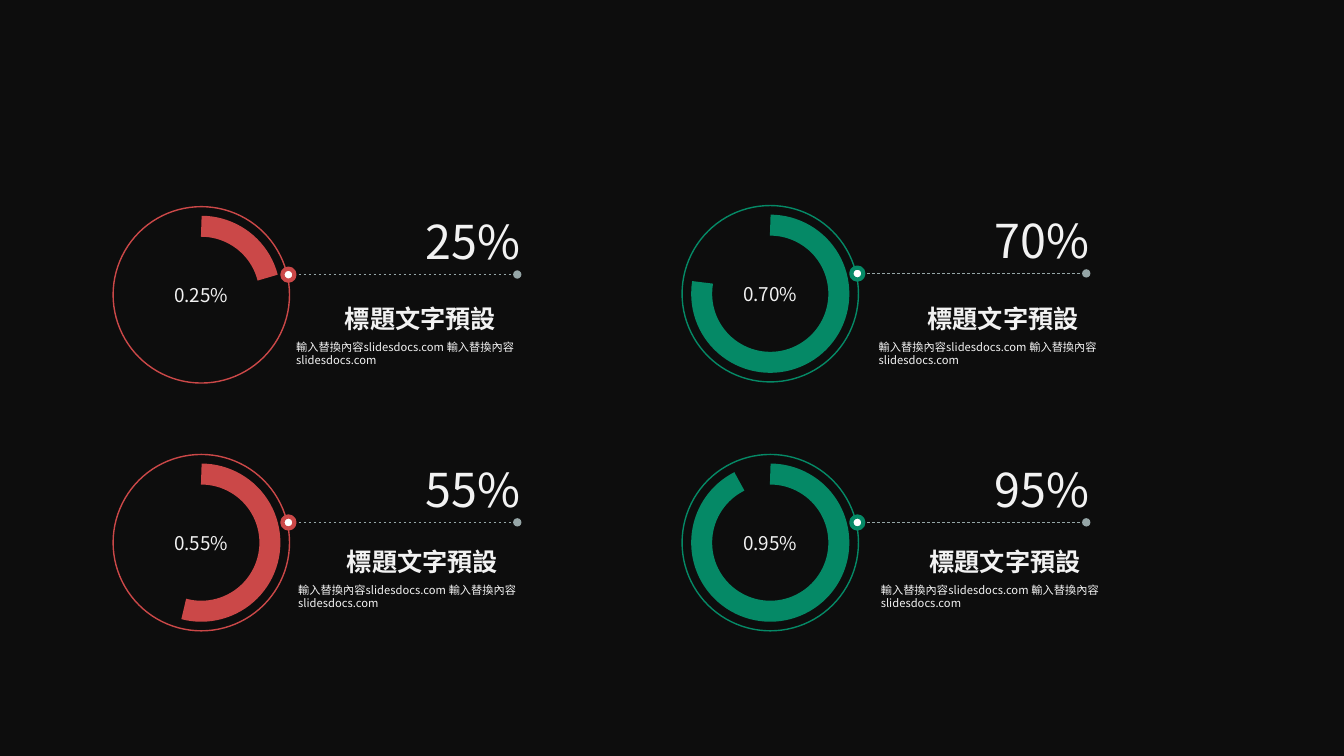
from pptx import Presentation
from pptx.dml.color import RGBColor
from pptx.enum import dml, shapes, text
from pptx.oxml import ns
from pptx.util import Pt
from lxml import etree

BLACK = RGBColor(0x0D, 0x0D, 0x0D)
WHITE = RGBColor(0xFF, 0xFF, 0xFF)
PALE = RGBColor(0xF2, 0xF2, 0xF2)
GREY = RGBColor(0x95, 0xA5, 0xA6)
RED = RGBColor(0xCB, 0x48, 0x48)
GREEN = RGBColor(0x05, 0x89, 0x66)
FONT = "Noto Sans CJK SC"
RING_SIZE = 126
ARC_SIZE = 98
DOT_SIZE = 8.6

# ring left, ring top, colour, share, arc end in degrees, caption left, caption top
GAUGES = [
    (80.8, 147.6, RED, 25, 345.48, 204.5, 213.1),
    (487.2, 146.8, GREEN, 70, 189.54, 620.6, 213.1),
    (80.8, 324.6, RED, 55, 104.83, 205.9, 386.6),
    (487.2, 324.6, GREEN, 95, 243.25, 622.1, 386.6),
]


def write(para, words, size, align, bold=False):
    para.alignment = align
    span = para.add_run()
    span.text = words
    span.font.size = Pt(size)
    span.font.bold = bold
    span.font.name = FONT
    span.font.color.rgb = PALE
    # East Asian glyphs take their typeface from a:ea
    etree.SubElement(span.font._element, ns.qn("a:ea"), typeface=FONT)


def add_outline(page, kind, left, top, size, color, weight):
    """Add a square-boxed shape with a coloured line and no fill."""
    shape = page.shapes.add_shape(kind, Pt(left), Pt(top), Pt(size), Pt(size))
    shape.shadow.inherit = False
    shape.fill.background()
    shape.line.color.rgb = color
    shape.line.width = Pt(weight)
    return shape


def add_text(page, left, top, width, height, words, size, bold=False):
    box = page.shapes.add_textbox(Pt(left), Pt(top), Pt(width), Pt(height))
    box.text_frame.word_wrap = True
    write(box.text_frame.paragraphs[0], words, size, text.PP_ALIGN.LEFT, bold)


def add_leader(page, left, right, y):
    """Add the dashed line that ends in a round head."""
    leader = page.shapes.add_connector(
        shapes.MSO_CONNECTOR.STRAIGHT, Pt(left), Pt(y), Pt(right), Pt(y))
    leader.line.color.rgb = GREY
    leader.line.width = Pt(0.5)
    leader.line.dash_style = dml.MSO_LINE.DASH
    etree.SubElement(leader.line._get_or_add_ln(), ns.qn("a:tailEnd"), type="oval")
    etree.SubElement(leader._element.spPr, ns.qn("a:effectLst"))


def add_percent(page, right, top, share):
    width = 76
    box = page.shapes.add_textbox(Pt(right - width), Pt(top), Pt(width), Pt(38))
    frame = box.text_frame
    frame.word_wrap = True
    frame.margin_left = frame.margin_right = frame.margin_top = frame.margin_bottom = 0
    write(frame.paragraphs[0], f"{share}%", 33.3, text.PP_ALIGN.RIGHT)


def add_gauge(page, left, top, color, share, end_angle):
    add_leader(page, left + 125.3, left + 288.7, top + 48.5)

    oval = shapes.MSO_SHAPE.OVAL
    ring = add_outline(page, oval, left, top, RING_SIZE, color, 1)
    ring.text_frame.word_wrap = False
    ring.text_frame.vertical_anchor = text.MSO_ANCHOR.MIDDLE
    write(ring.text_frame.paragraphs[0], f"{share / 100:.2f}%", 13.5,
          text.PP_ALIGN.CENTER)

    inset = (RING_SIZE - ARC_SIZE) / 2
    arc = add_outline(page, shapes.MSO_SHAPE.ARC, left + inset, top + inset,
                      ARC_SIZE, color, 15)
    for index, degrees in enumerate((270, end_angle)):
        arc.adjustments[index] = degrees * 0.6

    dot = add_outline(page, oval, left + 120.9, top + 44.3, DOT_SIZE, color, 3)
    dot.fill.solid()
    dot.fill.fore_color.rgb = WHITE

    add_percent(page, left + 291, top + 4.4, share)


def add_caption(page, left, top):
    add_text(page, left, top + 26.2, 199.4, 44,
             "輸入替換內容slidesdocs.com 輸入替換內容slidesdocs.com", 8)
    add_text(page, left + 34.8, top, 172.8, 27.4, "標題文字預設", 18, True)


def main():
    deck = Presentation()
    deck.slide_width, deck.slide_height = Pt(960), Pt(540)
    page = deck.slides.add_slide(deck.slide_layouts[6])
    page.background.fill.solid()
    page.background.fill.fore_color.rgb = BLACK
    for left, top, color, share, end_angle, caption_left, caption_top in GAUGES:
        add_gauge(page, left, top, color, share, end_angle)
        add_caption(page, caption_left, caption_top)
    deck.save("out.pptx")


if __name__ == "__main__":
    main()
